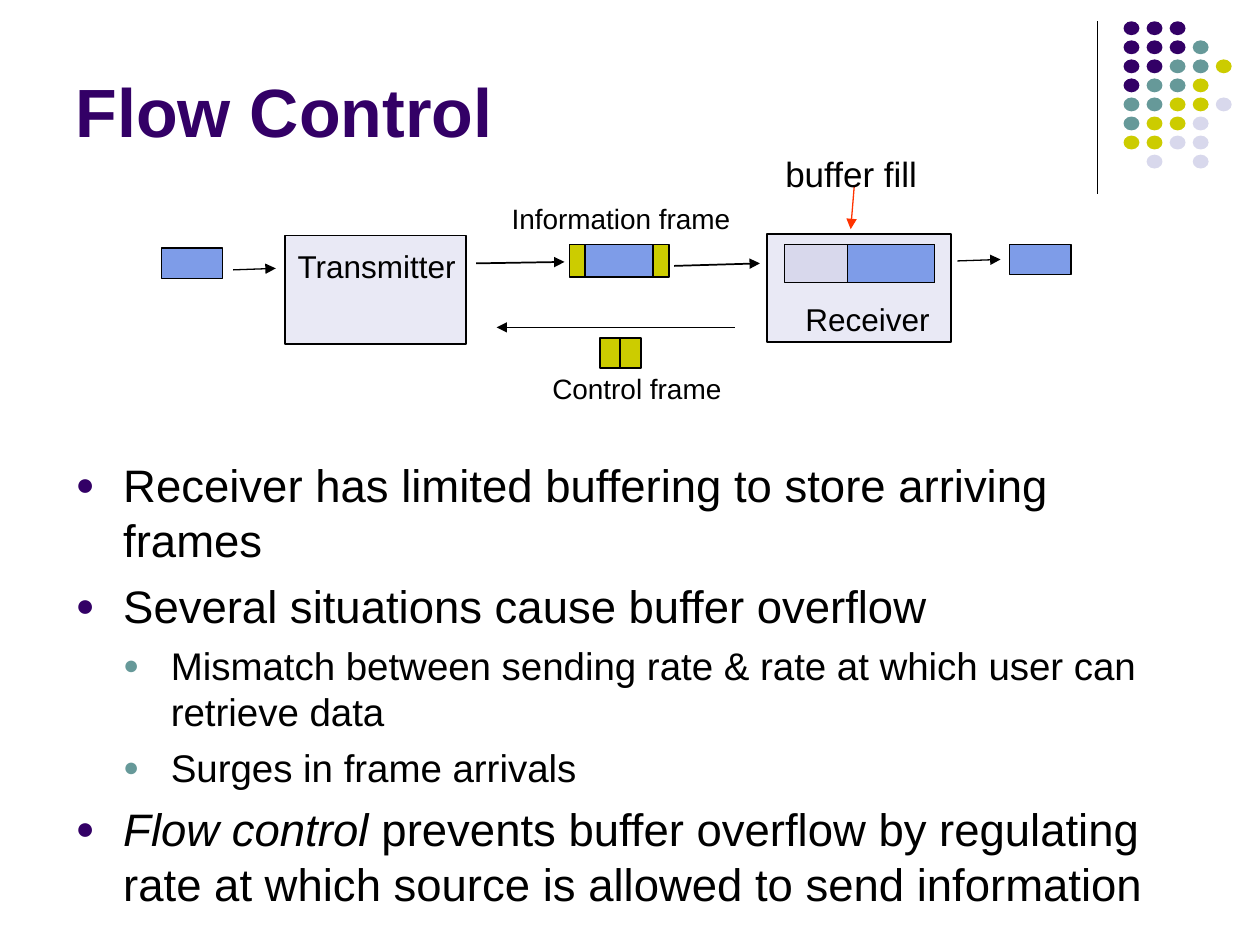
import pptx
import pptx.util
import pptx.dml.color
import pptx.enum.shapes
import pptx.enum.text
import pptx.oxml
from pptx.oxml.ns import nsdecls
from pptx.util import Cm

COLORS = {
    "black": "000000", "purple": "330066", "teal": "669999",
    "olive": "CCCC00", "lavender": "D8D8EC", "pale": "E9E9F5",
    "blue": "7E9CE8", "red": "FF3300",
}
MSO_SHAPE = pptx.enum.shapes.MSO_SHAPE
PP_ALIGN = pptx.enum.text.PP_ALIGN


def write_text(paragraph, text, size=16, color="black", bold=False, italic=False,
               align=PP_ALIGN.LEFT, before=0):
    paragraph.alignment = align
    paragraph.space_before = pptx.util.Pt(before)
    run = paragraph.add_run()
    run.text = text
    run.font.name = "Arial"
    run.font.size = pptx.util.Pt(size)
    run.font.bold = bold
    run.font.italic = italic
    run.font.color.rgb = pptx.dml.color.RGBColor.from_string(COLORS[color])


def add_line(slide, start, end, color="black", width=0.75, arrow=True):
    connector = slide.shapes.add_connector(
        pptx.enum.shapes.MSO_CONNECTOR.STRAIGHT, *map(Cm, start + end))
    connector.line.width = pptx.util.Pt(width)
    connector.line.color.rgb = pptx.dml.color.RGBColor.from_string(COLORS[color])
    if arrow:
        connector.line._get_or_add_ln().append(pptx.oxml.parse_xml(
            f'<a:tailEnd {nsdecls("a")} type="triangle"/>'))
    connector._element.spPr.append(pptx.oxml.parse_xml(f'<a:effectLst {nsdecls("a")}/>'))


presentation = pptx.Presentation()
presentation.slide_width = Cm(25.4)
presentation.slide_height = Cm(19.05)
slide = presentation.slides.add_slide(presentation.slide_layouts[1])

# Corner decoration: a rule and a grid of dots
add_line(slide, (22.12, 0.43), (22.12, 3.91), arrow=False)
dot_colors = {"P": "purple", "T": "teal", "O": "olive", "L": "lavender"}
dot_rows = ["PPP", "PPPT", "PPTTO", "PTTO", "TTOOL", "TOOL", "OOLL", ".L.L"]
for row, letters in enumerate(dot_rows):
    for column, letter in enumerate(letters):
        if letter == ".":
            continue
        dot = slide.shapes.add_shape(
            MSO_SHAPE.OVAL, Cm(22.65 + 0.465 * column), Cm(0.43 + 0.384 * row),
            Cm(0.32), Cm(0.28))
        dot.shadow.inherit = False
        dot.fill.solid()
        dot.fill.fore_color.rgb = pptx.dml.color.RGBColor.from_string(
            COLORS[dot_colors[letter]])
        dot.line.fill.background()

# Title
title = slide.shapes.title
title.left, title.top, title.width, title.height = Cm(1.27), Cm(0.33), Cm(20.96), Cm(2.84)
title.text_frame.auto_size = pptx.enum.text.MSO_AUTO_SIZE.NONE
title.text_frame.vertical_anchor = pptx.enum.text.MSO_ANCHOR.BOTTOM
write_text(title.text_frame.paragraphs[0], "Flow Control", size=39, color="purple", bold=True)

# Bulleted list: level and runs of (text, italic)
body = slide.placeholders[1]
body.left, body.top, body.width, body.height = Cm(1.27), Cm(9.09), Cm(22.86), Cm(9.63)
body.text_frame.auto_size = pptx.enum.text.MSO_AUTO_SIZE.NONE
bullets = [
    (0, [("Receiver has limited buffering to store arriving frames", False)]),
    (0, [("Several situations cause buffer overflow", False)]),
    (1, [("Mismatch between sending rate & rate at which user can retrieve data", False)]),
    (1, [("Surges in frame arrivals", False)]),
    (0, [("Flow control", True),
         (" prevents buffer overflow by regulating rate at which source is allowed"
          " to send information", False)]),
]
level_formats = [(26, 6.5, "purple"), (22, 5.5, "teal")]
for index, (level, runs) in enumerate(bullets):
    size, before, bullet_color = level_formats[level]
    paragraph = body.text_frame.paragraphs[0] if index == 0 else body.text_frame.add_paragraph()
    paragraph.level = level
    properties = paragraph._p.get_or_add_pPr()
    properties.set("marL", str(Cm(0.96 * (level + 1))))
    properties.set("indent", str(-Cm(0.96)))
    for element in (f'<a:buClr {nsdecls("a")}><a:srgbClr val="{COLORS[bullet_color]}"/></a:buClr>',
                    f'<a:buSzPct {nsdecls("a")} val="70000"/>',
                    f'<a:buFont {nsdecls("a")} typeface="Arial"/>',
                    f'<a:buChar {nsdecls("a")} char="●"/>'):
        properties.append(pptx.oxml.parse_xml(element))
    for text, italic in runs:
        write_text(paragraph, text, size=size, italic=italic, before=before if index else 0)

# Diagram boxes: left, top, width, height, fill, line width
boxes = [
    (5.74, 4.75, 3.66, 2.18, "pale", 1),         # transmitter
    (15.47, 4.72, 3.71, 2.18, "pale", 1),        # receiver
    (11.48, 4.93, 2.01, 0.66, "olive", 1),       # information frame
    (11.79, 4.93, 1.37, 0.66, "blue", 1),        # its payload
    (12.09, 6.81, 0.42, 0.61, "olive", 1),       # control frame
    (12.5, 6.81, 0.42, 0.61, "olive", 1),
    (15.82, 4.93, 3.02, 0.76, "lavender", 0.75),  # buffer
    (17.09, 4.93, 1.75, 0.76, "blue", 0.75),     # filled part
    (3.25, 5, 1.24, 0.61, "blue", 0.75),         # incoming data
    (20.35, 4.93, 1.24, 0.61, "blue", 0.75),     # outgoing data
]
for left, top, width, height, fill, line_width in boxes:
    box = slide.shapes.add_shape(MSO_SHAPE.RECTANGLE, Cm(left), Cm(top), Cm(width), Cm(height))
    box.shadow.inherit = False
    box.fill.solid()
    box.fill.fore_color.rgb = pptx.dml.color.RGBColor.from_string(COLORS[fill])
    box.line.color.rgb = pptx.dml.color.RGBColor.from_string(COLORS["black"])
    box.line.width = pptx.util.Pt(line_width)

# Diagram arrows
arrows = [
    ((9.6, 5.31), (11.38, 5.28), "black", 1),
    ((13.59, 5.36), (15.32, 5.31), "black", 1),
    ((14.81, 6.6), (10.01, 6.6), "black", 1),
    ((17.22, 3.76), (17.15, 4.62), "red", 0.75),
    ((4.7, 5.44), (5.56, 5.41), "black", 0.75),
    ((19.3, 5.26), (20.17, 5.23), "black", 0.75),
]
for start, end, color, width in arrows:
    add_line(slide, start, end, color=color, width=width)

# Diagram labels
labels = [
    ("Information frame", 9.55, 3.94, 5.94, 0.91, 16, True),
    ("Control frame", 10.16, 7.37, 5.36, 0.91, 16, True),
    ("Transmitter", 5.74, 4.85, 3.71, 1.02, 18, False),
    ("Receiver", 15.98, 5.92, 3.02, 1.02, 18, False),
    ("buffer fill", 15.57, 2.95, 3.18, 1.12, 20, False),
]
for text, left, top, width, height, size, wrap in labels:
    label = slide.shapes.add_textbox(Cm(left), Cm(top), Cm(width), Cm(height))
    label.text_frame.word_wrap = wrap
    write_text(label.text_frame.paragraphs[0], text, size=size, align=PP_ALIGN.CENTER)

presentation.save("out.pptx")
